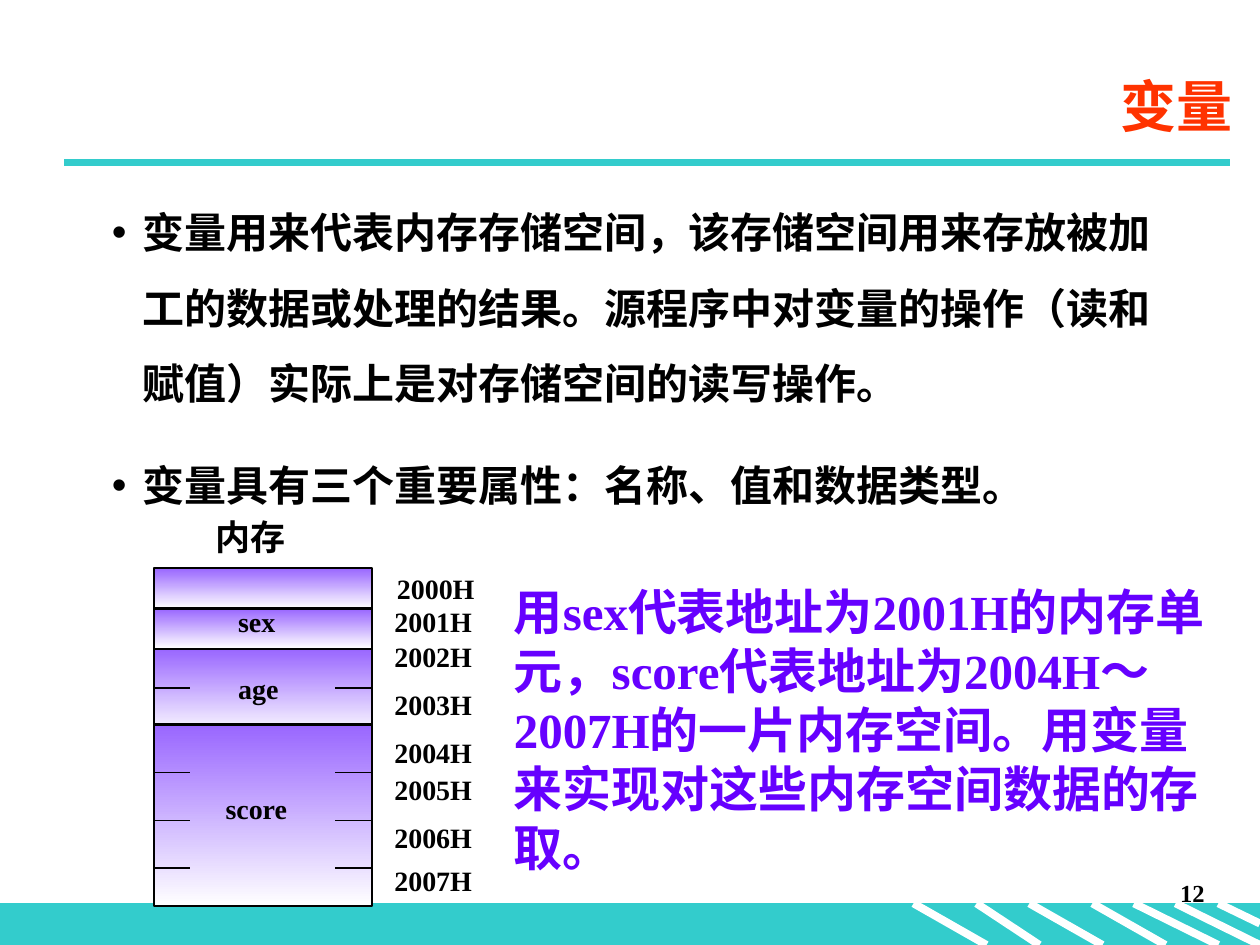
import pptx
import pptx.dml.color
import pptx.enum.shapes
import pptx.enum.text
import pptx.oxml
import pptx.oxml.ns
import pptx.util

Inches = pptx.util.Inches
Pt = pptx.util.Pt
RGBColor = pptx.dml.color.RGBColor
Align = pptx.enum.text.PP_ALIGN
Anchor = pptx.enum.text.MSO_ANCHOR

TEAL = RGBColor(0x33, 0xCC, 0xCC)
WHITE = RGBColor(0xFF, 0xFF, 0xFF)
BLACK = RGBColor(0x00, 0x00, 0x00)
RED = RGBColor(0xFF, 0x33, 0x00)
LILAC = RGBColor(0x99, 0x66, 0xFF)
VIOLET = RGBColor(0x66, 0x00, 0xFF)
SERIF = "Times New Roman"
HAN = "Noto Sans CJK SC"


def make(parent, tag, **attrs):
    child = pptx.oxml.parse_xml(f'<{tag} {pptx.oxml.ns.nsdecls("a")}/>')
    for key, value in attrs.items():
        child.set(key, str(value))
    parent.append(child)


class Deck:
    def __init__(self, slide):
        self.slide = slide
        self.shapes = slide.shapes
        self.edge = Pt(1.25)

    def rect(self, x, y, w, h):
        kind = pptx.enum.shapes.MSO_SHAPE.RECTANGLE
        box = self.shapes.add_shape(kind, Inches(x), Inches(y), Inches(w), Inches(h))
        box.shadow.inherit = False
        return box

    def band(self, x, y, w, h, color):
        box = self.rect(x, y, w, h)
        box.fill.solid()
        box.fill.fore_color.rgb = color
        box.line.color.rgb = color
        box.line.width = Pt(0.75)

    def cell(self, x, y, w, h):
        box = self.rect(x, y, w, h)
        box.fill.gradient()
        box.fill.gradient_angle = 270
        for stop, place, color in zip(box.fill.gradient_stops, (0, 1), (LILAC, WHITE)):
            stop.position = place
            stop.color.rgb = color
        box.line.color.rgb = BLACK
        box.line.width = self.edge

    def line(self, x1, y1, x2, y2, color=BLACK, width=0.75):
        kind = pptx.enum.shapes.MSO_CONNECTOR.STRAIGHT
        stroke = self.shapes.add_connector(kind, Inches(x1), Inches(y1), Inches(x2), Inches(y2))
        stroke.line.color.rgb = color
        stroke.line.width = Pt(width)
        make(stroke._element.spPr, "a:effectLst")

    def text(self, words, x, y, w, h, size=16, color=BLACK, face=SERIF, align=Align.LEFT,
             anchor=Anchor.TOP, inset=True, wrap=True, bullet=False, gap=0, lead=None):
        frame = self.shapes.add_textbox(Inches(x), Inches(y), Inches(w), Inches(h)).text_frame
        frame.word_wrap = wrap
        frame.vertical_anchor = anchor
        frame.margin_left = frame.margin_right = Inches(0.1 if inset else 0)
        frame.margin_top = frame.margin_bottom = Inches(0.05 if inset else 0)
        for i, part in enumerate(words.split("\n")):
            para = frame.add_paragraph() if i else frame.paragraphs[0]
            para.alignment = align
            if lead:
                para.line_spacing = lead
            if i:
                para.space_before = Pt(gap)
            if bullet:
                props = para._p.get_or_add_pPr()
                props.set("marL", str(Inches(0.24)))
                props.set("indent", str(-Inches(0.24)))
                make(props, "a:buFont", typeface="Arial")
                make(props, "a:buChar", char="•")
            run = para.add_run()
            run.text = part
            run.font.size = Pt(size)
            run.font.bold = True
            run.font.color.rgb = color
            run.font.name = face
            make(run._r.get_or_add_rPr(), "a:ea", typeface=HAN)


def frame(deck):
    deck.band(0, 7.17, 10, 0.33, TEAL)
    stripes = [(7.25, 7.83, 7.5), (7.75, 8.25, 7.5), (8.17, 8.75, 7.5), (8.67, 9.25, 7.5),
               (9, 9.67, 7.5), (9.33, 10, 7.5), (9.67, 10, 7.33)]
    for left, right, foot in stripes:
        deck.line(left, 7.17, right, foot, WHITE, 4.5)
    deck.line(0.51, 1.29, 9.76, 1.29, TEAL, 4.5)
    deck.text("12", 7.58, 6.92, 2.08, 0.5, size=14, align=Align.RIGHT)


def store(deck):
    left, wide, tick = 1.22, 1.73, 0.29
    for top, high in [(4.51, 0.32), (4.83, 0.32), (5.15, 0.69), (5.75, 1.44)]:
        deck.cell(left, top, wide, high)
    for y in (5.46, 6.13, 6.51, 6.89):
        for x in (left, left + wide - tick):
            deck.line(x, y, x + tick, y)
    for name, x, y, w in [("sex", 1.89, 4.8, 0.3), ("age", 1.89, 5.33, 0.32),
                          ("score", 1.79, 6.28, 0.49)]:
        deck.text(name, x, y, w, 0.27, inset=False, wrap=False)
    tops = (4.54, 4.8, 5.08, 5.46, 5.84, 6.13, 6.51, 6.85)
    for i, y in enumerate(tops):
        deck.text(f"200{i}H", 3.13 if i else 3.15, y, 0.62, 0.27, inset=False, wrap=False)
    deck.text("内存", 1.61, 4.04, 2.36, 0.44, size=20)


def main():
    show = pptx.Presentation()
    show.slide_width, show.slide_height = Inches(10), Inches(7.5)
    deck = Deck(show.slides.add_slide(show.slide_layouts[6]))
    frame(deck)
    deck.text("变量用来代表内存存储空间，该存储空间用来存放被加工的数据或处理的结果。"
              "源程序中对变量的操作（读和赋值）实际上是对存储空间的读写操作。\n"
              "变量具有三个重要属性：名称、值和数据类型。",
              0.79, 1.39, 8.71, 2.71, size=24, face=HAN, bullet=True, gap=15, lead=1.5)
    store(deck)
    deck.text("用sex代表地址为2001H的内存单元，score代表地址为2004H～2007H的一片内存空间。"
              "用变量来实现对这些内存空间数据的存取。",
              3.98, 4.57, 5.75, 2.44, size=28, color=VIOLET)
    deck.text("变量", 1.38, 0.44, 8.5, 0.79, size=32, color=RED,
              align=Align.RIGHT, anchor=Anchor.MIDDLE)
    show.save("out.pptx")


if __name__ == "__main__":
    main()
